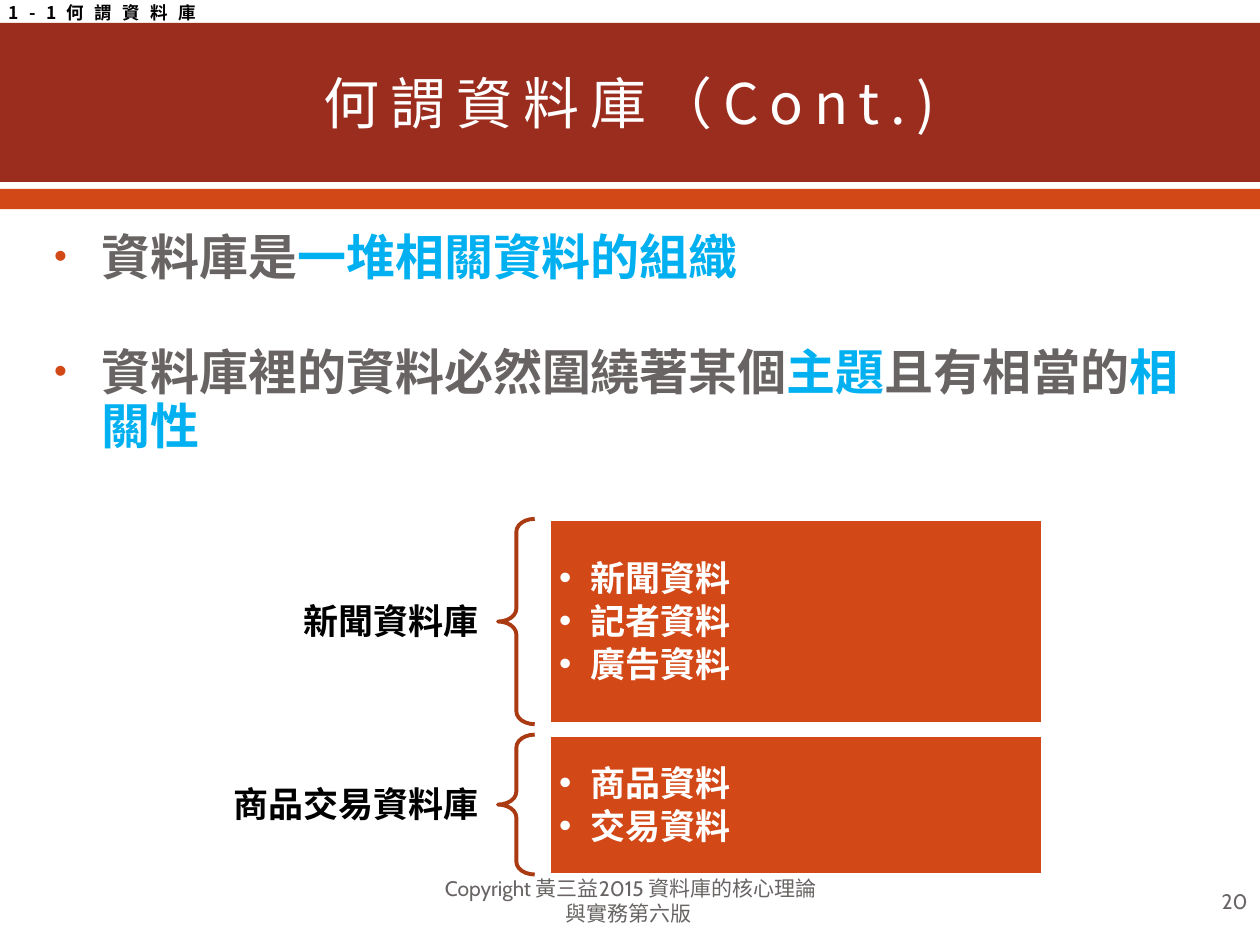
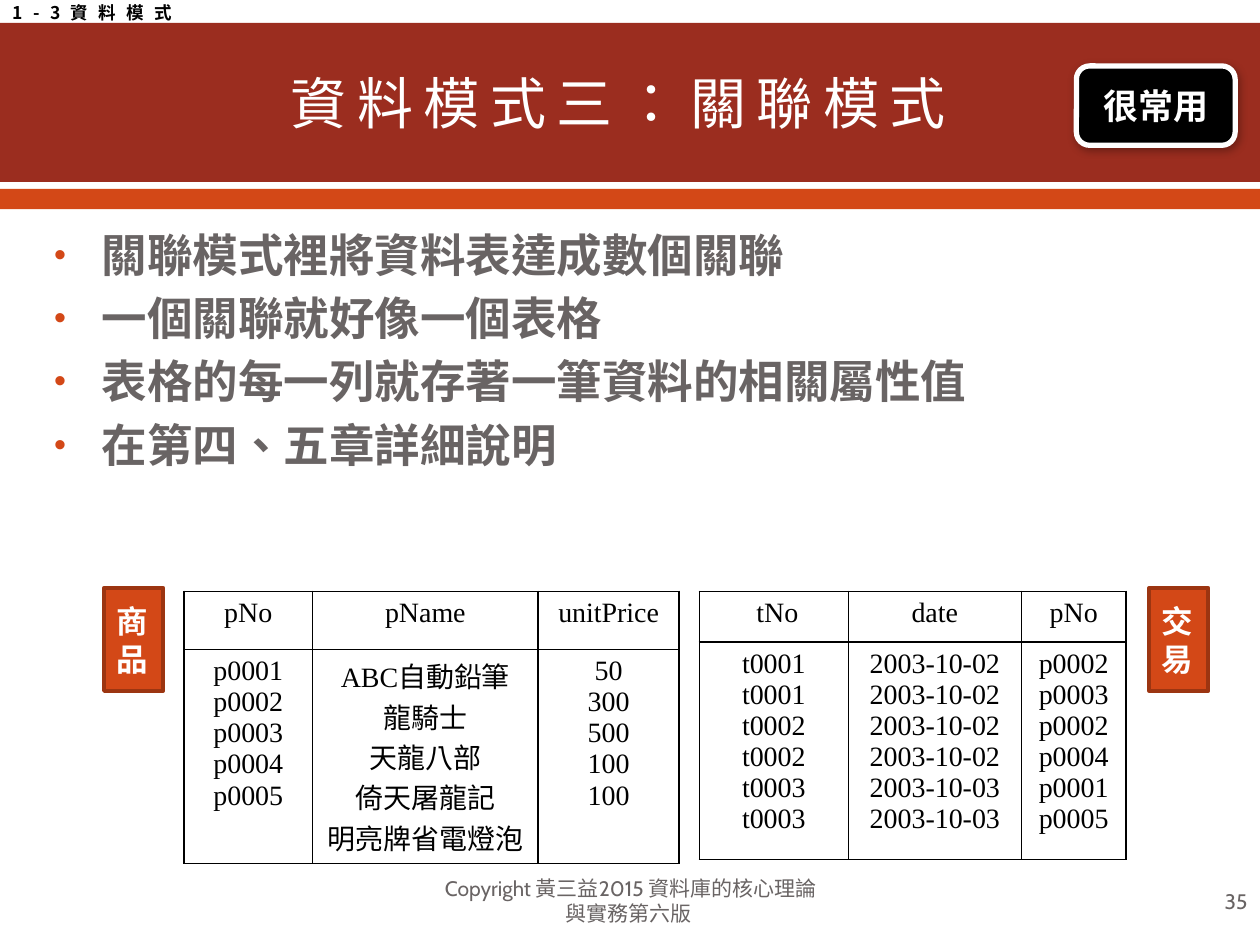
"""Builds two database lecture slides with a shared band, title and footer style."""
from lxml import etree
from pptx import Presentation
from pptx.dml.color import RGBColor
from pptx.enum.shapes import MSO_SHAPE
from pptx.enum.text import MSO_ANCHOR, PP_ALIGN
from pptx.oxml.ns import qn
from pptx.util import Cm, Pt

RECT, ROUNDED, BRACE = MSO_SHAPE.RECTANGLE, MSO_SHAPE.ROUNDED_RECTANGLE, MSO_SHAPE.LEFT_BRACE
TOP, MIDDLE = MSO_ANCHOR.TOP, MSO_ANCHOR.MIDDLE
LEFT, CENTER, RIGHT = PP_ALIGN.LEFT, PP_ALIGN.CENTER, PP_ALIGN.RIGHT

CJK, LATIN, SERIF = "Noto Sans CJK SC", "Cabin", "Times New Roman"
COLORS = {
    "band": "9B2D1F", "accent": "D34817", "brace": "A93A12", "edge": "9C3511",
    "grey": "696464", "key": "00B0F0", "white": "FFFFFF", "black": "000000",
}
SLIDE_W, SLIDE_H = 25.4, 19.05
FOOTER_Y, FOOTER_H = 17.65, 1.02
FOOTER = "Copyright 黃三益2015 資料庫的核心理論與實務第六版 "
LABEL_X, LABEL_W, LABEL_H = 4.11, 5.95, 1.4
BRACE_X, BRACE_W = 10.04, 0.74
BOX_X, BOX_W = 11.07, 9.96
TABLE_Y = 11.92
TAG_Y, TAG_W, TAG_H = 11.85, 1.19, 2.08


def rgb(name):
    return RGBColor.from_string(COLORS[name])


def sub(parent, tag, **attrs):
    return etree.SubElement(parent, qn(tag), {k: str(v) for k, v in attrs.items()})


def add_bullet(p, indent, color, percent):
    pPr = p._p.get_or_add_pPr()
    pPr.set("marL", str(Cm(indent)))
    pPr.set("indent", str(-Cm(indent)))
    sub(sub(pPr, "a:buClr"), "a:srgbClr", val=COLORS[color])
    sub(pPr, "a:buSzPct", val=percent * 1000)
    sub(pPr, "a:buFont", typeface="Arial")
    sub(pPr, "a:buChar", char="•")


def write(tf, paragraphs, size=20, color="black", font=CJK, bold=False, align=LEFT,
          pitch=None, gap=0, spacing=0, bullet=None):
    """Fill a text frame; a paragraph is a string or a list of (text, color) runs."""
    for i, runs in enumerate(paragraphs):
        p = tf.paragraphs[0] if i == 0 else tf.add_paragraph()
        p.alignment = align
        p.space_before, p.space_after = Pt(0), Pt(gap)
        if pitch:
            p.line_spacing = Pt(pitch)
        if bullet:
            add_bullet(p, *bullet)
        for text, run_color in [(runs, color)] if isinstance(runs, str) else runs:
            r = p.add_run()
            r.text = text
            r.font.size, r.font.bold, r.font.name = Pt(size), bold, font
            r.font.color.rgb = rgb(run_color)
            rPr = r._r.get_or_add_rPr()
            rPr.set("lang", "zh-TW")
            if spacing:
                rPr.set("spc", str(spacing * 100))
            sub(rPr, "a:ea", typeface=CJK)


class Deck:
    """Holds the presentation, its style and the current slide."""

    def __init__(self):
        self.prs = Presentation()
        self.prs.slide_width, self.prs.slide_height = Cm(SLIDE_W), Cm(SLIDE_H)
        self.slide = None

    def new_slide(self, section, title, number, section_x=0):
        self.slide = self.prs.slides.add_slide(self.prs.slide_layouts[6])
        self.shape(RECT, 0, 0.46, SLIDE_W, 3.21, fill="band")
        self.shape(RECT, 0, 3.81, SLIDE_W, 0.41, fill="accent")
        self.text([title], 1.27, 0.51, 22.86, 3.1, anchor=MIDDLE,
                  size=32, color="white", align=CENTER, spacing=6)
        self.text([section], section_x, -0.08, 4.6, 0.69, wrap=False,
                  size=10, bold=True, pitch=12, spacing=6)
        self.footer(FOOTER, 8.69, 8.05, CENTER)
        self.footer(str(number), 19.48, 5.92, RIGHT)

    def footer(self, words, x, w, align):
        self.text([words], x, FOOTER_Y, w, FOOTER_H, anchor=MIDDLE, size=12,
                  color="grey", font=LATIN, align=align, pitch=14.4)

    def fill_frame(self, sp, paragraphs, anchor, wrap, inset, **fmt):
        tf = sp.text_frame
        tf.word_wrap, tf.vertical_anchor = wrap, anchor
        tf.margin_left = tf.margin_right = Cm(inset)
        tf.margin_top = tf.margin_bottom = Cm(0.13)
        write(tf, paragraphs, **fmt)

    def text(self, paragraphs, x, y, w, h, anchor=TOP, wrap=True, inset=0.25, **fmt):
        sp = self.slide.shapes.add_textbox(Cm(x), Cm(y), Cm(w), Cm(h))
        self.fill_frame(sp, paragraphs, anchor, wrap, inset, **fmt)

    def shape(self, kind, x, y, w, h, fill=None, outline=None, width=2.22,
              paragraphs=(), inset=0.25, **fmt):
        sp = self.slide.shapes.add_shape(kind, Cm(x), Cm(y), Cm(w), Cm(h))
        sp.shadow.inherit = False
        if fill:
            sp.fill.solid()
            sp.fill.fore_color.rgb = rgb(fill)
        else:
            sp.fill.background()
        if outline:
            sp.line.color.rgb, sp.line.width = rgb(outline), Pt(width)
        else:
            sp.line.fill.background()
        self.fill_frame(sp, paragraphs, MIDDLE, True, inset, color="white", bold=True, **fmt)
        return sp

    def bullets(self, paragraphs, **fmt):
        self.text(paragraphs, 0.84, 4.52, 23.72, 7, color="grey", bold=True,
                  bullet=(0.96, "accent", 75), **fmt)

    def brace_group(self, label, items, y, h):
        line_fmt = {"pitch": 23, "gap": 1.7}
        self.text([label], LABEL_X, y + (h - LABEL_H) / 2, LABEL_W, LABEL_H,
                  anchor=MIDDLE, inset=0.41, bold=True, align=RIGHT, **line_fmt)
        brace = self.shape(BRACE, BRACE_X, y, BRACE_W, h, outline="brace")
        brace.adjustments[0] = 0.35
        self.shape(RECT, BOX_X, y, BOX_W, h, fill="accent", outline="white",
                   paragraphs=items, inset=0.2, bullet=(0.64, "white", 100), **line_fmt)

    def badge(self, words, x, y, w, h):
        sp = self.shape(ROUNDED, x, y, w, h, fill="black", outline="white", width=3,
                        paragraphs=[words], align=CENTER)
        effects = sp._element.spPr.find(qn("a:effectLst"))
        shadow = sub(effects, "a:outerShdw", blurRad=Pt(5), dist=Pt(2),
                     dir=60 * 60000, rotWithShape=0)
        sub(sub(shadow, "a:srgbClr", val=COLORS["black"]), "a:alpha", val=30000)

    def tag(self, paragraphs, x):
        self.shape(RECT, x, TAG_Y, TAG_W, TAG_H, fill="accent", outline="edge",
                   paragraphs=paragraphs, size=18, pitch=22)

    def table(self, x, widths, heights, columns):
        """Draw one table; each column is a heading and the lines of its body cell."""
        frame = self.slide.shapes.add_table(len(heights), len(widths), Cm(x), Cm(TABLE_Y),
                                            Cm(sum(widths)), Cm(sum(heights)))
        tbl = frame.table
        tbl.first_row = tbl.horz_banding = False
        for row, h in zip(tbl.rows, heights):
            row.height = Cm(h)
        for c, (w, (heading, lines)) in enumerate(zip(widths, columns)):
            tbl.columns[c].width = Cm(w)
            for r, paragraphs in enumerate(([heading], lines)):
                cell = tbl.cell(r, c)
                write(cell.text_frame, paragraphs, size=16, font=SERIF, align=CENTER)
                cell.fill.background()
                self.borders(cell)

    def borders(self, cell):
        tcPr = cell._tc.get_or_add_tcPr()
        for i, side in enumerate("LRTB"):
            ln = sub(tcPr, f"a:ln{side}", w=Pt(1))
            sub(sub(ln, "a:solidFill"), "a:srgbClr", val=COLORS["black"])
            tcPr.insert(i, ln)


def codes(prefix, numbers):
    return [f"{prefix}{n:04}" for n in numbers]


def build_definition(deck):
    deck.new_slide("1-1何謂資料庫", "何謂資料庫（Cont.)", 20, section_x=-0.08)
    deck.bullets([
        [("資料庫是", "grey"), ("一堆相關資料的組織", "key")],
        [("資料庫裡的資料必然圍繞著某個", "grey"), ("主題", "key"),
         ("且有相當的", "grey"), ("相關性", "key")],
    ], size=28, pitch=31, gap=35)
    deck.brace_group("新聞資料庫", ["新聞資料", "記者資料", "廣告資料"], 10.46, 4.14)
    deck.brace_group("商品交易資料庫", ["商品資料", "交易資料"], 14.81, 2.82)


def build_relational(deck):
    deck.new_slide("1-3資料模式", "資料模式三：關聯模式 ", 35)
    deck.bullets(["關聯模式裡將資料表達成數個關聯", "一個關聯就好像一個表格",
                  "表格的每一列就存著一筆資料的相關屬性值", "在第四、五章詳細說明"],
                 size=26, pitch=29, gap=7.2)
    deck.table(3.71, (2.59, 4.55, 2.84), (1.17, 4.32), [
        ("pNo", codes("p", range(1, 6))),
        ("pName", ["ABC自動鉛筆", "龍騎士", "天龍八部", "倚天屠龍記", "明亮牌省電燈泡"]),
        ("unitPrice", ["50", "300", "500", "100", "100"]),
    ])
    deck.table(14.1, (3, 3.49, 2.11), (1.02, 4.39), [
        (" tNo", codes("t", (1, 1, 2, 2, 3, 3))),
        ("date", ["2003-10-02"] * 4 + ["2003-10-03"] * 2),
        ("pNo", codes("p", (2, 3, 2, 4, 1, 5))),
    ])
    deck.badge("很常用", 21.7, 1.33, 3.2, 1.6)
    deck.tag(["商", "品"], 2.1)
    deck.tag(["交易"], 23.17)


def main():
    deck = Deck()
    build_definition(deck)
    build_relational(deck)
    deck.prs.save("out.pptx")


if __name__ == "__main__":
    main()
